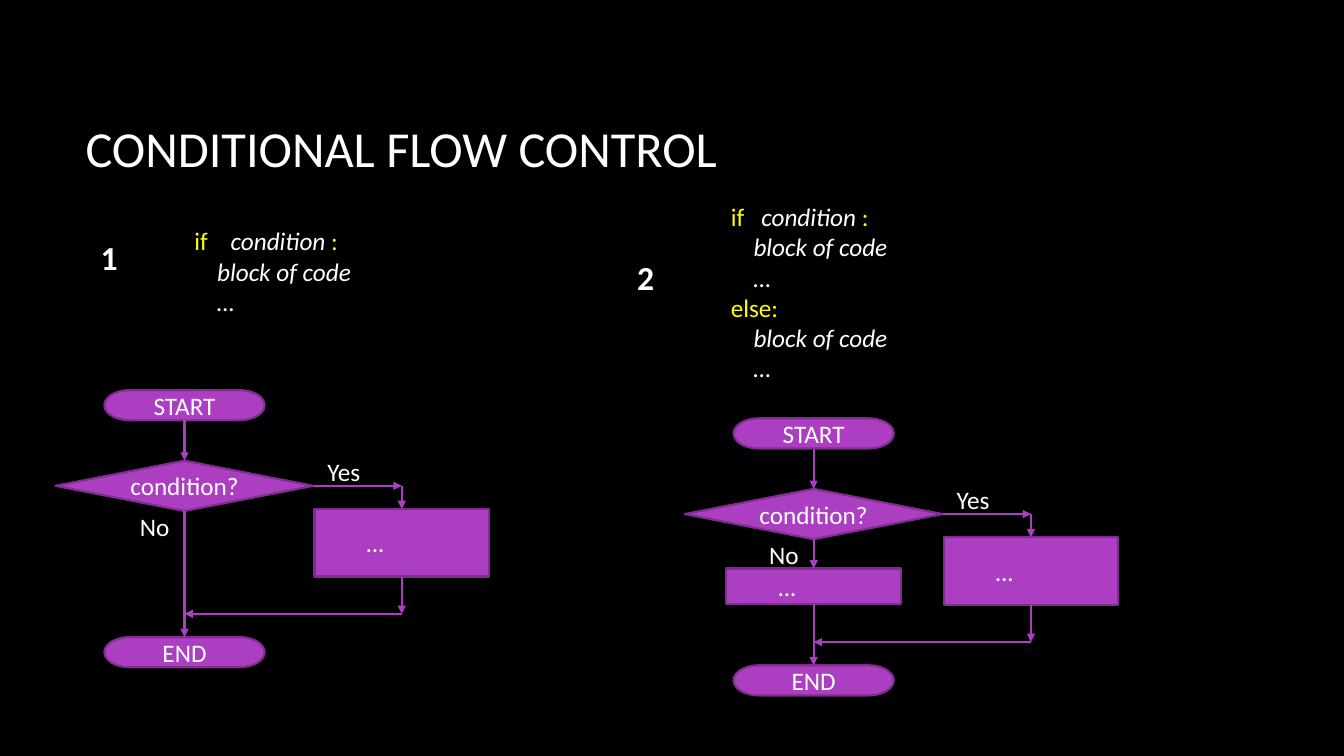
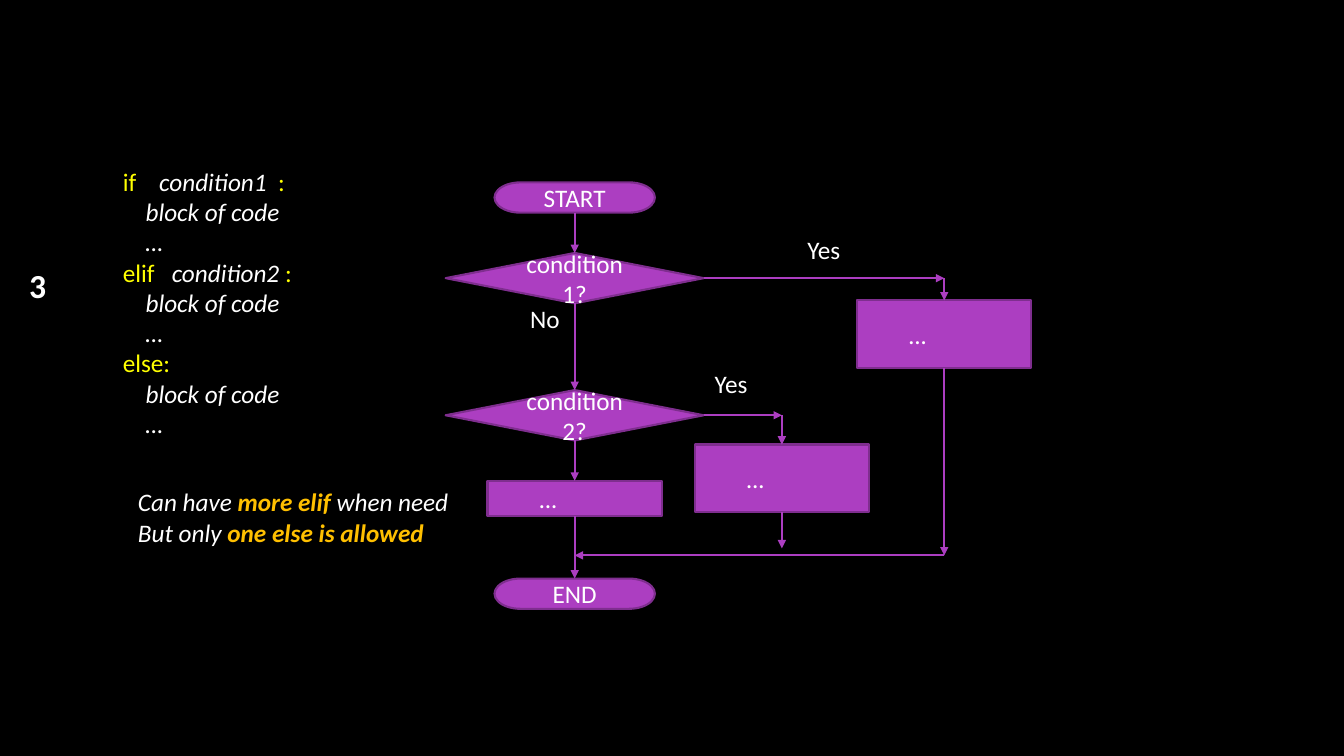
from dataclasses import dataclass

from lxml.etree import SubElement
from pptx import Presentation
from pptx.dml.color import RGBColor
from pptx.enum.shapes import MSO_CONNECTOR, MSO_SHAPE
from pptx.enum.text import MSO_ANCHOR, PP_ALIGN
from pptx.oxml.ns import qn
from pptx.util import Inches, Pt

FONT = "Calibri"
BLACK, WHITE = "000000", "FFFFFF"
PURPLE, OUTLINE = "AC3EC1", "7F2E8F"
YELLOW, GOLD = "FFFF00", "FFC000"
TOP, BOTTOM, RIGHT = 0, 2, 3
TERMINAL_SIZE = (1.59, 0.3)
DECISION_SIZE = (2.56, 0.5)
STEP_SIZE = (1.73, 0.67)
ELSE_SIZE = (1.73, 0.35)
DECISION_TOP = 0.7


@dataclass
class Style:
    """Colour and emphasis of a piece of text."""
    color: str = WHITE
    italic: bool = False
    bold: bool = False


PLAIN, STRONG = Style(), Style(bold=True)
KEYWORD, CODE = Style(YELLOW), Style(italic=True)
STRESS = Style(GOLD, italic=True, bold=True)
BLOCK = [[("    block of code", CODE)], [("    …", CODE)]]
ELSE = [[("else:", KEYWORD)], *BLOCK]


@dataclass
class Branch:
    """A condition and its Yes step, placed relative to the flowchart."""
    condition: str
    top: float
    step_at: tuple
    yes_at: tuple
    drop_to: float


def rgb(value):
    """Turn a hex string into a colour."""
    return RGBColor.from_string(value)


def apply_style(font, style):
    """Set colour and emphasis on a font."""
    font.color.rgb = rgb(style.color)
    font.italic, font.bold = style.italic, style.bold


def write(frame, lines, size=18, align=PP_ALIGN.LEFT):
    """Fill a text frame with lines made of (text, style) pieces."""
    for index, pieces in enumerate(lines):
        paragraph = frame.add_paragraph() if index else frame.paragraphs[0]
        paragraph.alignment = align
        paragraph.font.name, paragraph.font.size = FONT, Pt(size)
        for text, style in pieces:
            run = paragraph.add_run()
            run.text = text
            apply_style(paragraph.font if len(pieces) == 1 else run.font, style)


def add_text(slide, box, lines, size=18, wrap=True, anchor=MSO_ANCHOR.TOP):
    """Add a text box."""
    frame = slide.shapes.add_textbox(*map(Inches, box)).text_frame
    frame.word_wrap, frame.vertical_anchor = wrap, anchor
    write(frame, lines, size)


def add_node(slide, kind, box, text, style=PLAIN, align=PP_ALIGN.CENTER):
    """Add a flowchart symbol with its text."""
    node = slide.shapes.add_shape(kind, *map(Inches, box))
    node.shadow.inherit = False
    node.fill.solid()
    node.fill.fore_color.rgb = rgb(PURPLE)
    node.line.color.rgb = rgb(OUTLINE)
    node.line.width = Pt(1.5)
    node.text_frame.vertical_anchor = MSO_ANCHOR.MIDDLE
    write(node.text_frame, [[(text, style)]], align=align)
    return node


def add_step(slide, box):
    """Add a process box holding an ellipsis."""
    step = add_node(slide, MSO_SHAPE.FLOWCHART_PROCESS, box, "…", CODE, PP_ALIGN.LEFT)
    step.text_frame.margin_left = Inches(0.52)
    return step


def side(node, site):
    """Return the middle of the top, bottom or right side of a node."""
    middle_x, middle_y = node.left + node.width // 2, node.top + node.height // 2
    return {TOP: (middle_x, node.top),
            BOTTOM: (middle_x, node.top + node.height),
            RIGHT: (node.left + node.width, middle_y)}[site]


def add_arrow(slide, start, finish, source=None, target=None):
    """Draw an arrow between points, joined to (node, site) pairs if given."""
    arrow = slide.shapes.add_connector(MSO_CONNECTOR.STRAIGHT, *start, *finish)
    arrow.line.color.rgb = rgb(PURPLE)
    arrow.line.width = Pt(1.5)
    SubElement(arrow.line._get_or_add_ln(), qn("a:tailEnd"), type="triangle")
    SubElement(arrow._element.spPr, qn("a:effectLst"))
    if source:
        arrow.begin_connect(*source)
    if target:
        arrow.end_connect(*target)


def join_down(slide, upper, lower):
    """Join the bottom of one node to the top of the next."""
    add_arrow(slide, side(upper, BOTTOM), side(lower, TOP),
              (upper, BOTTOM), (lower, TOP))


def add_branch(slide, left, top, branch):
    """Add a decision and its Yes step; return both."""
    decision = add_node(slide, MSO_SHAPE.FLOWCHART_DECISION,
                        (left, top + branch.top, *DECISION_SIZE), branch.condition)
    step_dx, step_dy = branch.step_at
    step = add_step(slide, (left + step_dx, top + step_dy, *STEP_SIZE))
    exit_point, entry = side(decision, RIGHT), side(step, TOP)
    corner = (entry[0], exit_point[1])
    add_arrow(slide, exit_point, corner, source=(decision, RIGHT))
    add_arrow(slide, corner, entry, target=(step, TOP))
    add_arrow(slide, side(step, BOTTOM), (entry[0], Inches(top + branch.drop_to)),
              source=(step, BOTTOM))
    yes_dx, yes_dy = branch.yes_at
    add_text(slide, (left + yes_dx, top + yes_dy, 0.53, 0.4), [[("Yes", PLAIN)]], wrap=False)
    return decision, step


def add_flowchart(slide, left, top, branches, merge, end_top, else_top=None):
    """Build a flowchart whose spine runs down the middle of the decisions."""
    spine = left + DECISION_SIZE[0] / 2

    def centred(dy, size):
        return spine - size[0] / 2, top + dy, *size

    start, end = [
        add_node(slide, MSO_SHAPE.FLOWCHART_TERMINATOR, centred(dy, TERMINAL_SIZE), text)
        for dy, text in ((0, "START"), (end_top, "END"))]
    pairs = [add_branch(slide, left, top, branch) for branch in branches]
    chain = [start, *(decision for decision, _ in pairs)]
    if else_top is not None:
        chain.append(add_step(slide, centred(else_top, ELSE_SIZE)))
    chain.append(end)
    for upper, lower in zip(chain, chain[1:]):
        join_down(slide, upper, lower)
    merge_y = Inches(top + merge)
    first_step = pairs[0][1]
    add_arrow(slide, (side(first_step, BOTTOM)[0], merge_y), (Inches(spine), merge_y))
    add_text(slide, (left + 0.74, top + DECISION_TOP + 0.45, 0.5, 0.4),
             [[("No", PLAIN)]], wrap=False)


def add_snippet(slide, number, box, number_dy, lines):
    """Add a code snippet with its number on the left."""
    left, top = box[:2]
    add_text(slide, box, lines)
    add_text(slide, (left - 0.93, top + number_dy, 0.37, 0.5),
             [[(number, STRONG)]], size=24, wrap=False)


def add_slide(deck):
    """Add a blank slide with the black background."""
    slide = deck.slides.add_slide(deck.slide_layouts[6])
    slide.background.fill.solid()
    slide.background.fill.fore_color.rgb = rgb(BLACK)
    return slide


def build_if_else(deck):
    """Build the slide on if and if-else."""
    slide = add_slide(deck)
    add_text(slide, (0.75, 0.67, 11.08, 1.59), [[("CONDITIONAL FLOW CONTROL", PLAIN)]],
             size=36, anchor=MSO_ANCHOR.MIDDLE)
    condition = [("condition ", CODE), (":", KEYWORD)]
    add_snippet(slide, "1", (1.83, 2.19, 2.33, 1.01), 0.11,
                [[("if    ", KEYWORD), *condition], *BLOCK])
    add_snippet(slide, "2", (7.15, 1.95, 2.43, 1.92), 0.55,
                [[("if   ", KEYWORD), *condition], *BLOCK, *ELSE])
    branch = Branch("condition?", DECISION_TOP, (2.57, 1.18), (2.6, 0.61), 2.22)
    for left, top, else_top in ((0.55, 3.87, None), (6.79, 4.15, 1.49)):
        add_flowchart(slide, left, top, [branch], merge=2.22, end_top=2.45,
                      else_top=else_top)


def build_elif(deck):
    """Build the slide on if-elif-else."""
    slide = add_slide(deck)
    branches = [
        Branch("condition1?", DECISION_TOP, (4.08, 1.17), (3.49, 0.47), 3.7),
        Branch("condition2?", 2.06, (2.47, 2.6), (2.57, 1.79), 3.63)]
    add_flowchart(slide, 4.42, 1.81, branches, merge=3.7, end_top=3.93, else_top=2.96)
    add_snippet(slide, "3", (1.12, 1.6, 2.85, 2.83), 0.98, [
        [("if    ", KEYWORD), ("condition1  ", CODE), (":", KEYWORD)], *BLOCK,
        [("elif   ", KEYWORD), ("condition2", CODE), (" :", KEYWORD)], *BLOCK,
        *ELSE])
    add_text(slide, (1.27, 4.78, 3.29, 0.71), [
        [("Can have ", CODE), ("more elif ", STRESS), ("when need", CODE)],
        [("But only ", CODE), ("one else is allowed", STRESS)]], wrap=False)


def main():
    """Build and save the deck."""
    deck = Presentation()
    deck.slide_width, deck.slide_height = Inches(13.33), Inches(7.5)
    build_if_else(deck)
    build_elif(deck)
    deck.save("out.pptx")


if __name__ == "__main__":
    main()
